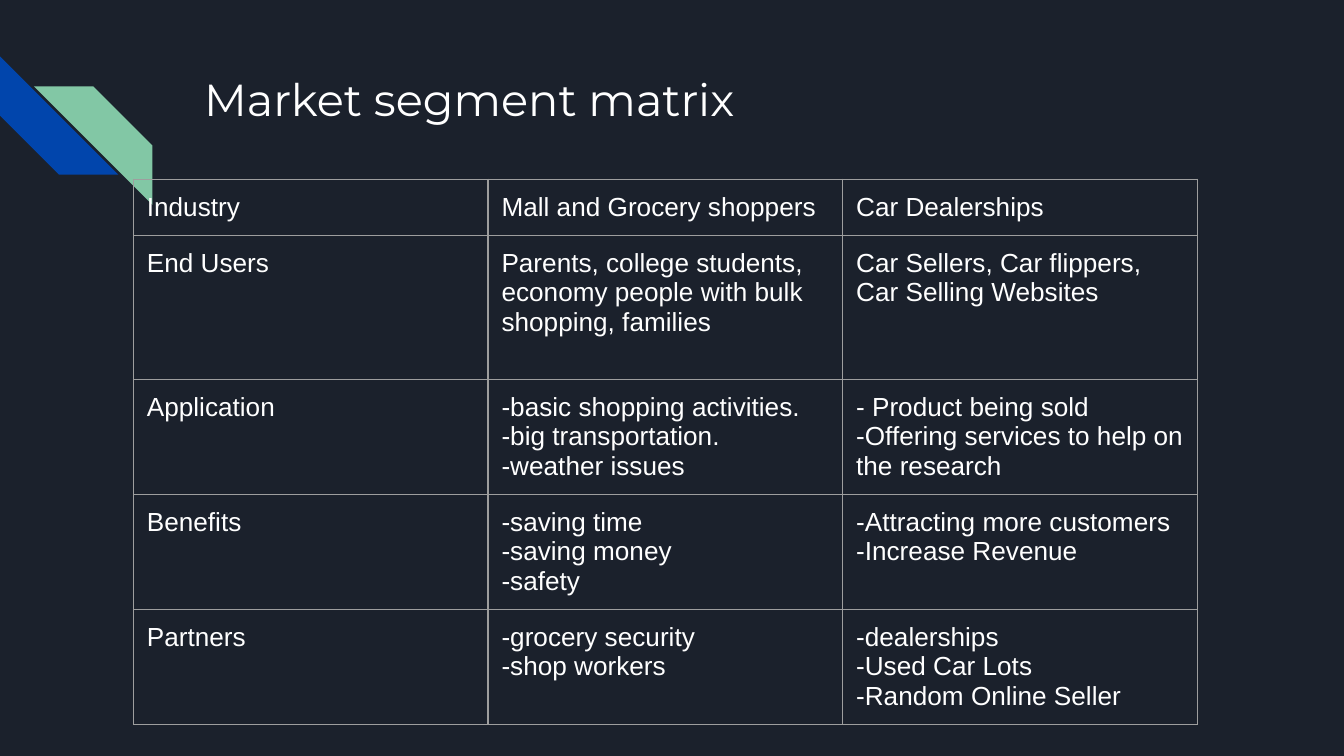
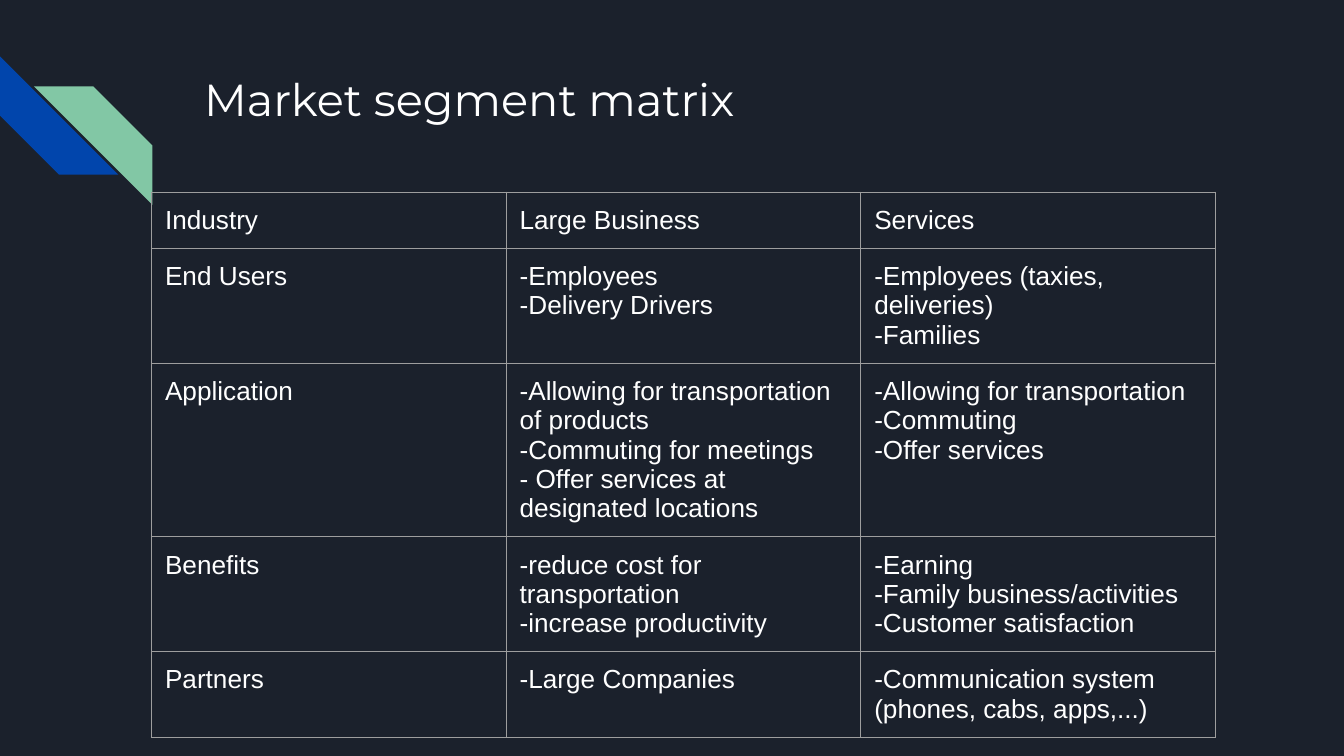
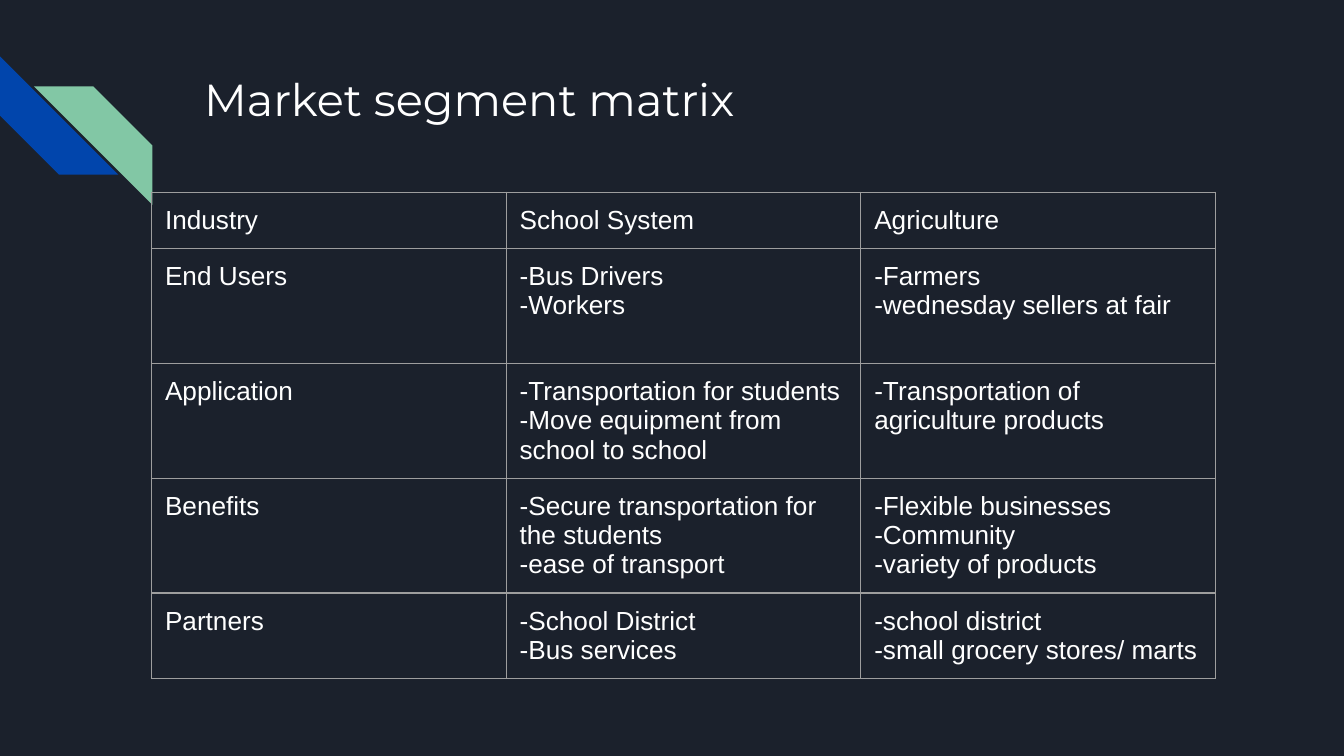
"""Build three dark slides that each hold a market segment matrix."""
from dataclasses import dataclass

import lxml.etree
import pptx
import pptx.dml.color
import pptx.enum.shapes
import pptx.oxml.ns
import pptx.slide
import pptx.table
import pptx.text.text
import pptx.util

Pt = pptx.util.Pt

COLORS = {
    "back": "1B212C",
    "blue": "0145AC",
    "green": "82C7A5",
    "text": "FFFFFF",
    "line": "9E9E9E",
}
TITLE = "Market segment matrix"
HEADS = ("Industry", "End Users", "Application", "Benefits", "Partners")
INSET = 7.2
LINE = 15.7
COL_WIDTH = 190


@dataclass(frozen=True)
class Stripe:
    left: float
    top: float
    turn: int
    color: str
    size: float = 63.4


@dataclass(frozen=True)
class Font:
    name: str
    size: float
    pitch: float | None = None


@dataclass(frozen=True)
class Matrix:
    left: float
    top: float
    lines: tuple[int, ...]
    first: tuple[str, ...]
    second: tuple[str, ...]


TITLE_FONT = Font("Montserrat", 24)
CELL_FONT = Font("Arial", 14, LINE)

STRIPES = (
    Stripe(0, 30.2, 270, "blue"),
    Stripe(18.2, 46.3, 90, "green"),
)

TABLES = (
    Matrix(
        71.5, 96, (1, 4, 3, 3, 3),
        (
            "Mall and Grocery shoppers",
            "Parents, college students, economy people with bulk shopping, families",
            "-basic shopping activities. -big transportation.\n-weather issues",
            "-saving time\n-saving money\n-safety",
            "-grocery security\n-shop workers",
        ),
        (
            "Car Dealerships",
            "Car Sellers, Car flippers, Car Selling Websites",
            "- Product being sold\n-Offering services to help on the research",
            "-Attracting more customers\n-Increase Revenue",
            "-dealerships\n-Used Car Lots\n-Random Online Seller",
        ),
    ),
    Matrix(
        81.2, 103, (1, 3, 5, 3, 2),
        (
            "Large Business",
            "-Employees\n-Delivery Drivers",
            "-Allowing for transportation of products\n-Commuting for meetings\n"
            "- Offer services at designated locations",
            "-reduce cost for transportation\n-increase productivity",
            "-Large Companies",
        ),
        (
            "Services",
            "-Employees (taxies, deliveries)\n-Families",
            "-Allowing for transportation\n-Commuting\n-Offer services",
            "-Earning\n-Family business/activities\n-Customer satisfaction",
            "-Communication system (phones, cabs, apps,...)",
        ),
    ),
    Matrix(
        81.2, 103, (1, 3, 3, 3, 2),
        (
            "School System",
            "-Bus Drivers\n-Workers",
            "-Transportation for students\n-Move equipment from school to school",
            "-Secure transportation for the students\n-ease of transport",
            "-School District\n-Bus services",
        ),
        (
            "Agriculture",
            "-Farmers\n-wednesday sellers at fair",
            "-Transportation of agriculture products",
            "-Flexible businesses\n-Community\n-variety of products",
            "-school district\n-small grocery stores/ marts",
        ),
    ),
)


def rgb(key: str) -> pptx.dml.color.RGBColor:
    """Return the named colour."""
    return pptx.dml.color.RGBColor.from_string(COLORS[key])


def write(frame: pptx.text.text.TextFrame, text: str, font: Font) -> None:
    """Fill a text frame with one run in each paragraph."""
    frame.word_wrap = True
    for i, part in enumerate(text.split("\n")):
        para = frame.add_paragraph() if i else frame.paragraphs[0]
        if font.pitch:
            para.line_spacing = Pt(font.pitch)
        run = para.add_run()
        run.text = part
        run.font.name = font.name
        run.font.size = Pt(font.size)
        run.font.color.rgb = rgb("text")


def add_stripe(slide: pptx.slide.Slide, stripe: Stripe) -> None:
    """Draw one corner stripe."""
    shape = slide.shapes.add_shape(
        pptx.enum.shapes.MSO_SHAPE.DIAGONAL_STRIPE,
        Pt(stripe.left), Pt(stripe.top), Pt(stripe.size), Pt(stripe.size),
    )
    shape.rotation = stripe.turn
    shape.shadow.inherit = False
    shape.fill.solid()
    shape.fill.fore_color.rgb = rgb(stripe.color)
    shape.line.fill.background()


def add_title(slide: pptx.slide.Slide) -> None:
    """Place the title shared by all slides."""
    box = slide.shapes.add_textbox(Pt(102.3), Pt(31), Pt(554.4), Pt(72))
    frame = box.text_frame
    frame.margin_left = frame.margin_right = Pt(INSET)
    frame.margin_top = frame.margin_bottom = Pt(INSET)
    write(frame, TITLE, TITLE_FONT)


def style(cell: pptx.table._Cell) -> None:
    """Give a cell its insets, thin borders and no fill."""
    cell.margin_left = cell.margin_right = Pt(INSET)
    cell.margin_top = cell.margin_bottom = Pt(INSET)
    qn = pptx.oxml.ns.qn
    props = cell._tc.get_or_add_tcPr()
    for side in ("lnL", "lnR", "lnT", "lnB"):
        edge = lxml.etree.SubElement(props, qn(f"a:{side}"), w=str(Pt(0.75)))
        fill = lxml.etree.SubElement(edge, qn("a:solidFill"))
        lxml.etree.SubElement(fill, qn("a:srgbClr"), val=COLORS["line"])
    cell.fill.background()


def add_matrix(slide: pptx.slide.Slide, matrix: Matrix) -> None:
    """Draw a matrix with rows as high as their line counts ask."""
    rows = tuple(zip(HEADS, matrix.first, matrix.second))
    highs = [2 * INSET + LINE * count for count in matrix.lines]
    table = slide.shapes.add_table(
        len(rows), len(rows[0]), Pt(matrix.left), Pt(matrix.top),
        Pt(COL_WIDTH * len(rows[0])), Pt(sum(highs)),
    ).table
    table.first_row = table.horz_banding = False
    for col in table.columns:
        col.width = Pt(COL_WIDTH)
    for r, (row, high) in enumerate(zip(rows, highs)):
        table.rows[r].height = Pt(high)
        for c, text in enumerate(row):
            cell = table.cell(r, c)
            style(cell)
            write(cell.text_frame, text, CELL_FONT)


def main() -> None:
    """Build and save the deck."""
    deck = pptx.Presentation()
    deck.slide_width, deck.slide_height = Pt(720), Pt(405)
    back = deck.slide_master.background.fill
    back.solid()
    back.fore_color.rgb = rgb("back")
    for matrix in TABLES:
        slide = deck.slides.add_slide(deck.slide_layouts[6])
        for stripe in STRIPES:
            add_stripe(slide, stripe)
        add_title(slide)
        add_matrix(slide, matrix)
    deck.save("out.pptx")


if __name__ == "__main__":
    main()
